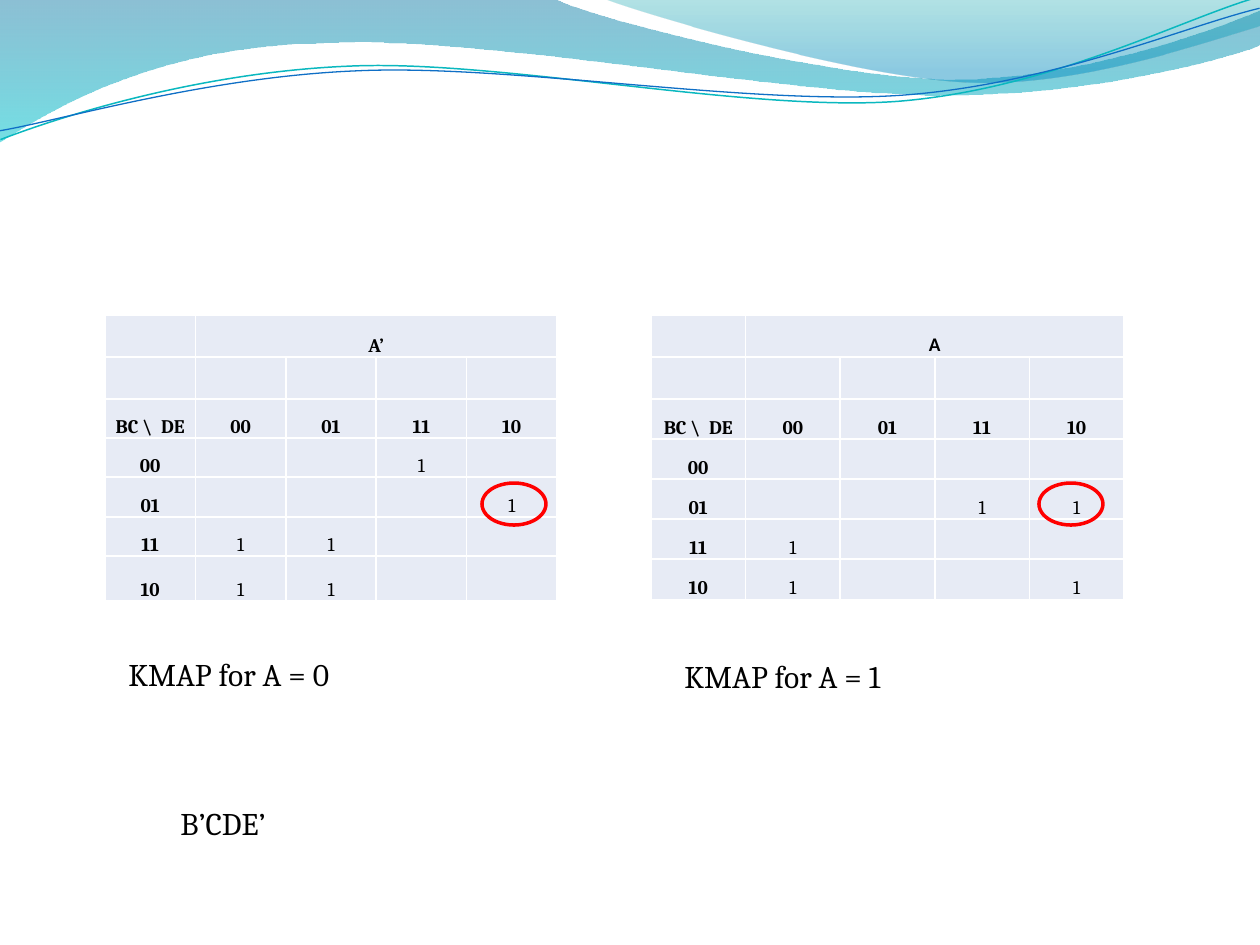
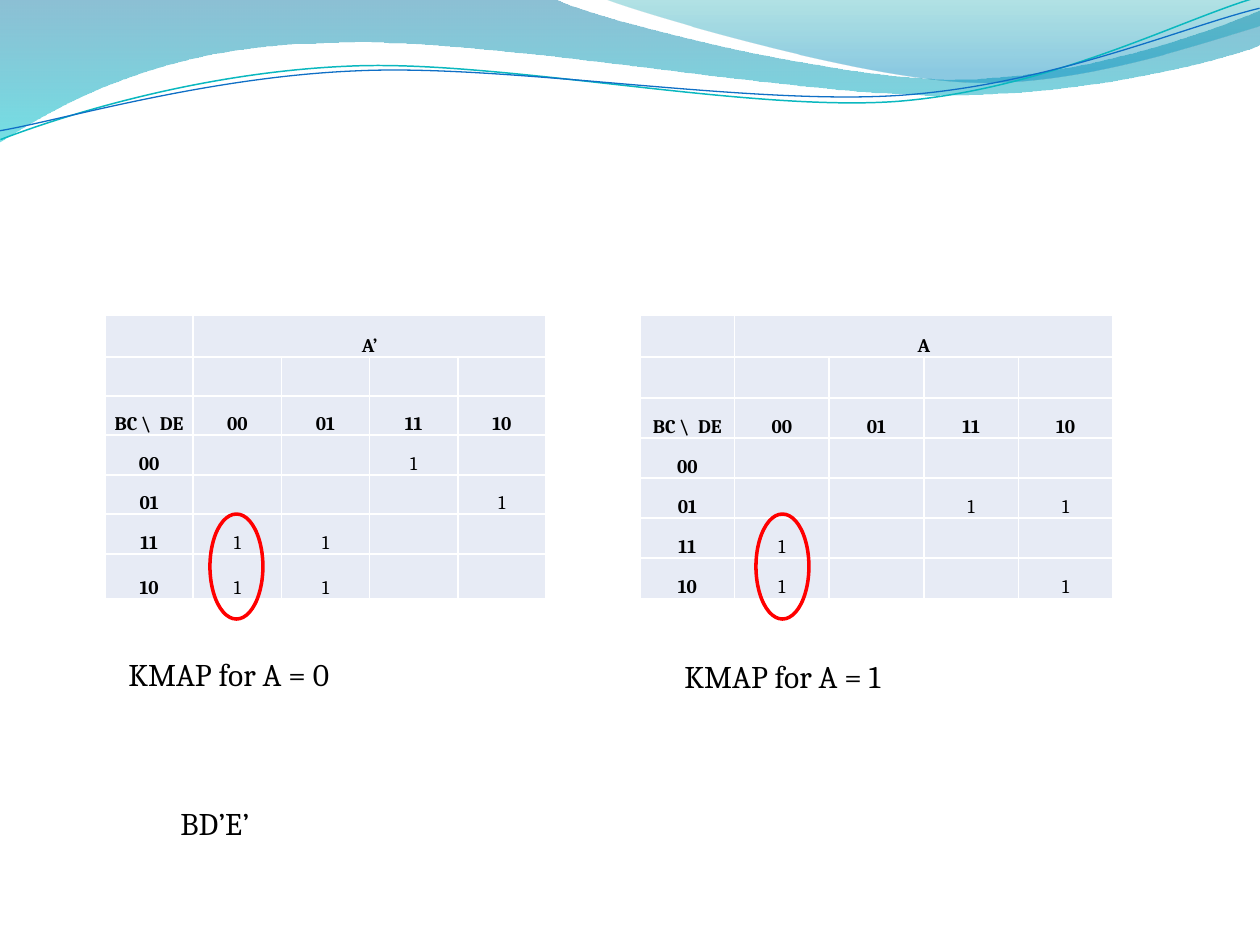
from lxml.etree import SubElement
from pptx import Presentation
from pptx.dml.color import RGBColor
from pptx.enum.shapes import MSO_SHAPE
from pptx.enum.text import MSO_ANCHOR, MSO_AUTO_SIZE, PP_ALIGN
from pptx.oxml.ns import qn
from pptx.util import Inches, Pt

SLIDE_WIDTH, SLIDE_HEIGHT = 1260, 945
PIXELS_PER_INCH = 126

# Colours and fonts
BLACK = RGBColor(0x00, 0x00, 0x00)
RED = RGBColor(0xFF, 0x00, 0x00)
CELL_FILL = RGBColor(0xE7, 0xEB, 0xF5)
BORDER_HEX = "FFFFFF"
DEEP_BLUE = RGBColor(0x00, 0x74, 0xA1)
AQUA = RGBColor(0x00, 0xC6, 0xCF)
TEAL = RGBColor(0x00, 0xA1, 0xA9)
SKY_BLUE = RGBColor(0x00, 0x8B, 0xBF)
TEAL_LINE = RGBColor(0x0A, 0xB8, 0xBF)
BLUE_LINE = RGBColor(0x0F, 0x6F, 0xC6)
BODY_FONT = "Cambria"
ALTERNATE_FONT = "Calibri"

# Wave outlines: a pair is a straight step, a triple of pairs a Bezier step
WIDE_BAND = [
    (0, 0), (554, -1),
    ((600, 21), (837, 79), (955, 79)),
    ((1075, 79), (1207, 33), (1260, 11)),
    (1261, 45),
    ((1239, 55), (1096, 96), (940, 95)),
    ((783, 95), (481, 35), (324, 43)),
    ((163, 45), (58, 105), (-1, 142)),
    (0, 0),
]
SHORT_BAND = [
    (604, -1),
    ((641, 14), (859, 78), (969, 82)),
    ((1079, 87), (1211, 40), (1260, 26)),
    (1260, 0),
    (604, -1),
]
TEAL_CURVE = [
    (-2, 110),
    ((58, 90), (199, 52), (350, 53)),
    ((499, 53), (745, 118), (896, 114)),
    ((1049, 109), (1184, 45), (1260, 27)),
]
BLUE_CURVE = [
    (-2, 101),
    ((57, 94), (207, 57), (357, 58)),
    ((509, 58), (750, 112), (902, 108)),
    ((1052, 104), (1188, 52), (1262, 38)),
]
CURVE_ROTATION = 357.3

# Karnaugh maps: rows BC, columns DE, both in Gray code order
GRAY_CODE = ["00", "01", "11", "10"]
MAP_A0 = ["  1 ", "   1", "11  ", "11  "]
MAP_A1 = ["    ", "  11", "1   ", "1  1"]
TABLE_TOP = 315


def px(length):
    return round(length * Inches(1) / PIXELS_PER_INCH)


def box(left, top, width, height):
    return px(left), px(top), px(width), px(height)


# Background waves
def add_outline(slide, outline, close):
    """Build all points as straight segments, then join triples into Beziers."""
    steps = [[step] if len(step) == 2 else step for step in outline]
    points = [(px(x), px(y)) for step in steps for x, y in step]
    builder = slide.shapes.build_freeform(*points[0])
    builder.add_line_segments(points[1:], close=close)
    shape = builder.convert_to_shape()
    shape.shadow.inherit = False

    segments = iter(list(shape.element.iter(qn("a:lnTo"))))
    for step in steps[1:]:
        first, *others = [next(segments) for _ in step]
        if others:
            first.tag = qn("a:cubicBezTo")
            for other in others:
                first.append(other[0])
                other.getparent().remove(other)
    return shape


def add_band(slide, outline, stops):
    """Each stop is (position, colour, opacity in percent)."""
    shape = add_outline(slide, outline, close=True)
    shape.line.fill.background()
    shape.fill.gradient()
    shape.fill.gradient_angle = 270
    for gradient_stop, (position, color, _) in zip(shape.fill.gradient_stops, stops):
        gradient_stop.position = position
        gradient_stop.color.rgb = color
    color_elements = list(shape.element.spPr.iter(qn("a:srgbClr")))
    for color_element, (_, _, opacity) in zip(color_elements, stops):
        SubElement(color_element, qn("a:alpha"), val=str(opacity * 1000))
    return shape


def add_curve(slide, outline, color, width):
    shape = add_outline(slide, outline, close=False)
    shape.rotation = CURVE_ROTATION
    shape.fill.background()
    shape.line.color.rgb = color
    shape.line.width = Pt(width)
    return shape


def move_waves_to_layout(slide):
    """Draw the waves with the slide's builder, then share them through its layout."""
    layout_shapes = slide.slide_layout.shapes
    for placeholder in list(slide.slide_layout.placeholders):
        layout_shapes.element.remove(placeholder.element)
    waves = [
        add_band(slide, WIDE_BAND, [(0, DEEP_BLUE, 45), (1, AQUA, 55)]),
        add_band(slide, SHORT_BAND, [(0, TEAL, 30), (0.8, SKY_BLUE, 45)]),
        add_curve(slide, TEAL_CURVE, TEAL_LINE, 0.85),
        add_curve(slide, BLUE_CURVE, BLUE_LINE, 0.75),
    ]
    for wave in waves:
        layout_shapes.element.append(wave.element)


# Text
def format_runs(paragraph, size, font=BODY_FONT, bold=False):
    for run in paragraph.runs:
        run.font.name = font
        run.font.size = Pt(size)
        run.font.bold = bold
        run.font.color.rgb = BLACK


def add_text(slide, left, top, width, text):
    text_frame = slide.shapes.add_textbox(*box(left, top, width, 50)).text_frame
    text_frame.word_wrap = True
    text_frame.auto_size = MSO_AUTO_SIZE.SHAPE_TO_FIT_TEXT
    text_frame.text = text
    format_runs(text_frame.paragraphs[0], 18)


# Karnaugh map tables
def add_borders(cell_properties):
    for tag in ("a:lnL", "a:lnR", "a:lnT", "a:lnB"):
        line = SubElement(cell_properties, qn(tag), w=str(Pt(1)))
        fill = SubElement(line, qn("a:solidFill"))
        SubElement(fill, qn("a:srgbClr"), val=BORDER_HEX)


def fill_cell(cell, text, font, bold):
    cell.fill.solid()
    cell.fill.fore_color.rgb = CELL_FILL
    cell.vertical_anchor = MSO_ANCHOR.BOTTOM
    cell.margin_left = cell.margin_right = cell.margin_top = px(1)
    cell.margin_bottom = 0
    if text:
        cell.text_frame.text = text
        paragraph = cell.text_frame.paragraphs[0]
        paragraph.alignment = PP_ALIGN.CENTER
        format_runs(paragraph, 11, font, bold)


def add_map(slide, left, width, row_heights, heading, values, heading_font=BODY_FONT):
    rows = [["", heading, "", "", ""], [""] * 5, ["BC \\  DE", *GRAY_CODE]]
    rows += [[code, *(mark.strip() for mark in marks)]
             for code, marks in zip(GRAY_CODE, values)]
    frame = slide.shapes.add_table(
        len(rows), 5, *box(left, TABLE_TOP, width, sum(row_heights)))
    table = frame.table
    table.first_row = table.horz_banding = False
    for column in table.columns:
        column.width = px(width / 5)
    for row, height in zip(table.rows, row_heights):
        row.height = px(height)
    table.cell(0, 1).merge(table.cell(0, 4))

    for cell_element in frame.element.iter(qn("a:tc")):
        add_borders(cell_element.get_or_add_tcPr())
    for row_index, row in enumerate(rows):
        for column_index, text in enumerate(row):
            font = heading_font if row_index == 0 else BODY_FONT
            bold = row_index < 3 or column_index == 0
            fill_cell(table.cell(row_index, column_index), text, font, bold)

    # Empty cells need the small size too, or they stretch their rows
    for paragraph_element in frame.element.iter(qn("a:p")):
        if paragraph_element.find(qn("a:r")) is None:
            SubElement(paragraph_element, qn("a:endParaRPr"), sz="1100")


def add_ring(slide, left, top, width, height):
    ring = slide.shapes.add_shape(MSO_SHAPE.OVAL, *box(left, top, width, height))
    ring.shadow.inherit = False
    ring.fill.background()
    ring.line.color.rgb = RED
    ring.line.width = Pt(2)


def add_captions_and_rings(slide, term, rings):
    add_text(slide, 116, 649, 441, "KMAP for A = 0")
    add_text(slide, 672, 651, 441, "KMAP for A = 1")
    add_text(slide, 168, 798, 903, term)
    for ring in rings:
        add_ring(slide, *ring)


def main():
    presentation = Presentation()
    presentation.slide_width = px(SLIDE_WIDTH)
    presentation.slide_height = px(SLIDE_HEIGHT)
    blank_layout = presentation.slide_layouts[6]

    # Slide 1: the single cell shared by both maps
    slide = presentation.slides.add_slide(blank_layout)
    move_waves_to_layout(slide)
    add_map(slide, 105, 452, [42, 42, 39, 39, 40, 39, 45], "A’", MAP_A0)
    add_map(slide, 651, 473, [42, 42, 40, 40, 40, 40, 41], "A", MAP_A1, ALTERNATE_FONT)
    add_captions_and_rings(
        slide, "B’CDE’", [(left, 483, 64, 42) for left in (482, 1039)])

    # Slide 2: the pair of cells shared by both maps
    slide = presentation.slides.add_slide(blank_layout)
    add_map(slide, 105, 441, [42, 39, 39, 40, 39, 40, 45], "A’", MAP_A0)
    add_map(slide, 640, 473, [42, 41, 40, 40, 40, 40, 41], "A", MAP_A1)
    add_captions_and_rings(
        slide, "BD’E’", [(left, 514, 53, 105) for left in (756, 210)])

    presentation.save("out.pptx")


main()
